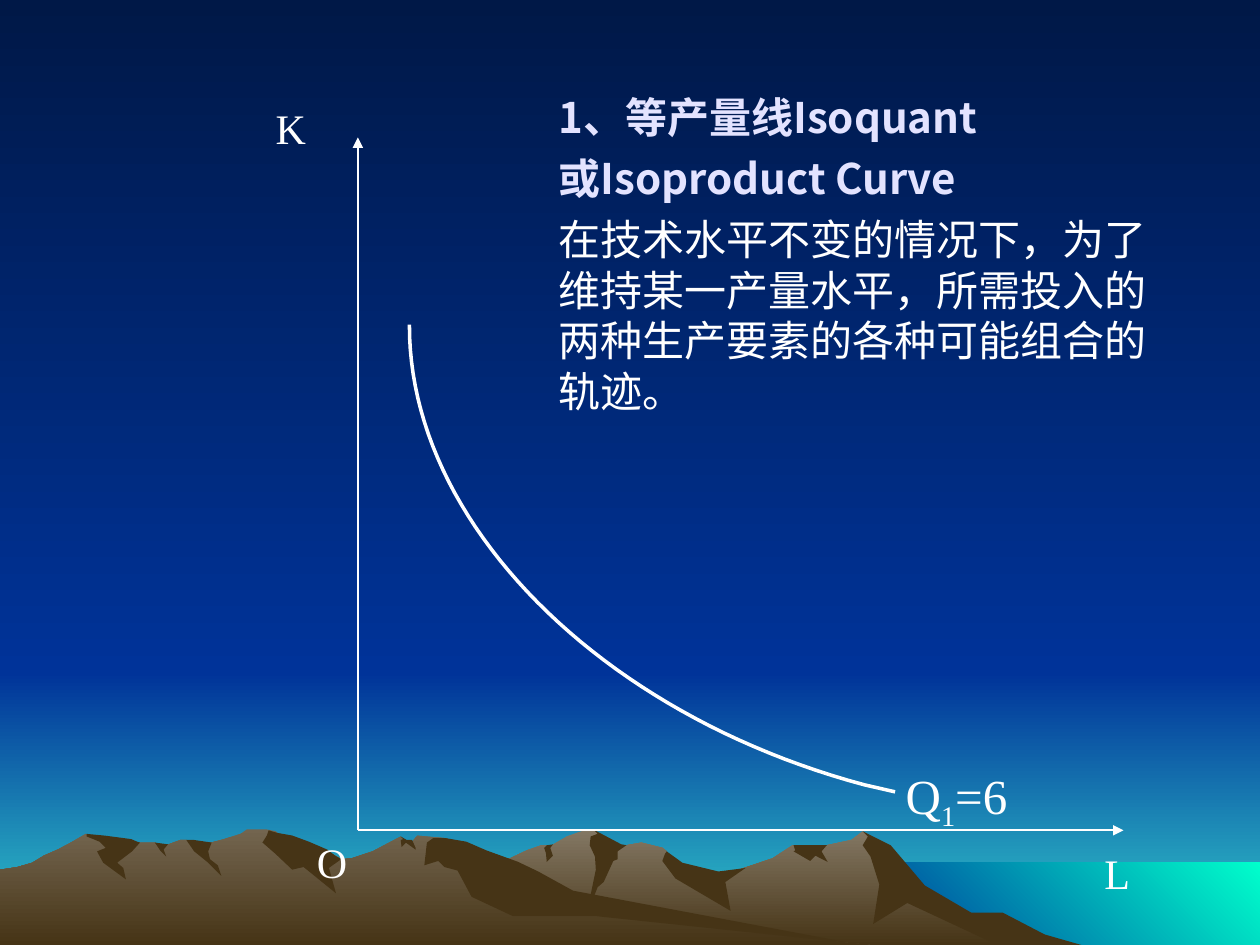
from lxml import etree
from pptx import Presentation
from pptx import util as u
from pptx.dml.color import RGBColor
from pptx.enum import shapes, text
from pptx.oxml import ns

COLORS = {
    "night": "001847", "blue": "003399", "horizon": "33CCCC", "sea": "00FFCC",
    "right_rock": "847864", "left_rock": "73654F", "shade": "463416",
    "white": "FFFFFF", "heading": "E3E3FF",
}
SERIF, SANS, BODY = "Times New Roman", "Noto Sans CJK SC", "Cambria"
WIDTH, HEIGHT, HORIZON = 720, 540, 384
DOWN, UP_RIGHT = 270, 45

# Mountain outlines, in points
RIGHT_RIDGE = [
    (577.5, 533), (560, 523.5), (550, 520.5), (520.5, 502.5), (505.5, 483), (493, 475),
    (486.5, 480), (472.5, 483), (453, 483), (441.5, 490.5), (407.5, 502), (386, 497),
    (381, 486.5), (378.5, 484.5), (366.5, 481.5), (358, 483), (350, 484.5), (341.5, 476),
    (339, 474), (335, 474), (324, 478), (315.5, 483), (309.5, 483), (301, 486),
    (291.5, 490.5), (283.5, 493), (255.5, 502.5), (235.5, 510.5), (199.5, 532),
    (186, 540), (591, 540)]
LEFT_RIDGE = [
    (497, 540), (480, 538.5), (311, 512.5), (255, 479), (238.5, 477.5), (235.5, 481),
    (232.5, 481), (229, 478), (213, 486.5), (201, 490.5), (195, 491), (187, 486.5),
    (170, 490.5), (160.5, 477.5), (157.5, 475), (152.5, 474), (141, 474), (137.5, 476.5),
    (128, 479.5), (115, 483), (106.5, 480), (103, 480), (95, 483), (92, 483),
    (88.5, 481.5), (80, 481.5), (67.5, 483), (49, 476.5), (40.5, 481.5), (33, 485.5),
    (25, 489), (18.5, 493), (10, 495.5), (0, 497), (0, 540)]
RIGHT_SHADES = [
    [(573, 521.5), (555, 521.5), (528.5, 506), (509, 483), (493, 475), (496, 478),
     (493, 483), (497.5, 489.5), (502.5, 505.5), (499, 528), (518.5, 516), (570, 540),
     (618, 540), (597, 534)],
    [(339, 474), (341.5, 476.5), (337.5, 478), (337, 483), (340, 489.5), (340.5, 497),
     (335, 523.5), (341.5, 507), (345, 504), (350.5, 492), (353, 491), (353, 486.5),
     (358, 483), (355, 482.5)],
    [(381, 486.5), (380, 488), (378.5, 492), (386, 502), (417.5, 520.5), (414.5, 504),
     (426, 496), (410.5, 498), (390, 493)],
    [(468, 483), (453.5, 483), (454.5, 486), (453.5, 486.5), (463, 492), (466, 489),
     (473, 492.5), (469.5, 486.5), (472.5, 483)],
    [(312, 487.5), (311, 484.5), (312.5, 483), (316, 482.5), (314.5, 484.5),
     (316, 489), (312.5, 492.5)],
]
LEFT_SHADES = [
    [(152.5, 477.5), (150, 481.5), (157.5, 488), (167, 497), (173.5, 495.5), (192, 510.5),
     (188, 496), (195, 491), (191.5, 489), (187, 485.5), (176.5, 481), (167, 477.5),
     (158.5, 476), (153.5, 474.5)],
    [(266.5, 481), (255, 479), (247.5, 479), (244, 481.5), (242.5, 494.5), (250.5, 492),
     (254, 495.5), (261.5, 497.5), (269.5, 512.5), (293, 523.5), (340, 523.5), (497, 540),
     (492, 540), (327.5, 509), (307.5, 498), (296, 492.5), (278, 486)],
    [(229, 480), (230.5, 479.5), (229, 478), (232.5, 480), (235.5, 480), (237.5, 484.5),
     (237.5, 485.5), (232, 481.5), (229.5, 484)],
    [(111, 480), (121, 481.5), (119, 486.5), (120, 491), (124.5, 494.5), (126.5, 500.5),
     (119, 493), (111, 486.5), (106.5, 480)],
    [(96, 482.5), (93.5, 485.5), (95, 489.5), (91.5, 486), (88.5, 481.5)],
    [(78.5, 481), (80, 481.5), (75.5, 486.5), (67, 493), (70.5, 496), (72, 502.5),
     (59, 493), (55.5, 486.5), (60.5, 484.5), (57, 481), (49.5, 478), (49.5, 476.5),
     (60, 477.5), (75, 479.5)],
]


def rgb(name):
    return RGBColor.from_string(COLORS[name])


def rectangle(left, top, right, bottom):
    return [(left, top), (right, top), (right, bottom), (left, bottom)]


def bezier(a, b, c, d, steps=48):
    """Points along a cubic curve from a to d."""
    points = []
    for i in range(steps + 1):
        t = i / steps
        weights = ((1 - t) ** 3, 3 * t * (1 - t) ** 2, 3 * t * t * (1 - t), t ** 3)
        points.append(tuple(sum(w * p[axis] for w, p in zip(weights, (a, b, c, d)))
                            for axis in (0, 1)))
    return points


class Painter:
    def __init__(self, page):
        self.page = page

    def paint(self, fill, colors, angle=DOWN):
        if len(colors) == 1:
            fill.solid()
            fill.fore_color.rgb = rgb(colors[0])
            return
        fill.gradient()
        fill.gradient_angle = angle
        for stop, name in zip(fill.gradient_stops, colors):
            stop.color.rgb = rgb(name)

    def outline(self, points, closed):
        points = [(u.Pt(x), u.Pt(y)) for x, y in points]
        builder = self.page.shapes.build_freeform(*points[0])
        builder.add_line_segments(points[1:], close=closed)
        shape = builder.convert_to_shape()
        shape.shadow.inherit = False
        return shape

    def area(self, points, *colors, angle=DOWN):
        shape = self.outline(points, True)
        self.paint(shape.fill, colors, angle)
        shape.line.fill.background()

    def curve(self, points, width):
        shape = self.outline(points, False)
        shape.fill.background()
        shape.line.color.rgb = rgb("white")
        shape.line.width = u.Pt(width)

    def arrow(self, start, end):
        line = self.page.shapes.add_connector(
            shapes.MSO_CONNECTOR.STRAIGHT, *(u.Pt(v) for v in start + end))
        line.line.color.rgb = rgb("white")
        line.line.width = u.Pt(1)
        etree.SubElement(line.line._get_or_add_ln(), ns.qn("a:tailEnd"), type="triangle")
        etree.SubElement(line._element.spPr, ns.qn("a:effectLst"))

    def box(self, left, top, width, height, content):
        box = self.page.shapes.add_textbox(*(u.Pt(v) for v in (left, top, width, height)))
        box.text_frame.word_wrap = True
        box.text_frame.text = content
        return box.text_frame

    def style(self, span, size, font, color, bold=False):
        span.font.size, span.font.name, span.font.bold = u.Pt(size), font, bold
        span.font.color.rgb = rgb(color)
        east_asian = etree.Element(ns.qn("a:ea"), typeface=SANS)
        span.font._element.find(ns.qn("a:latin")).addnext(east_asian)

    def label(self, left, top, width, height, *parts, size=24):
        para = self.box(left, top, width, height, "").paragraphs[0]
        for part in parts:
            span = para.add_run()
            span.text = part
            self.style(span, size, SERIF, "white")
        return para


def main():
    deck = Presentation()
    deck.slide_width, deck.slide_height = u.Pt(WIDTH), u.Pt(HEIGHT)
    page = deck.slides.add_slide(deck.slide_layouts[6])
    painter = Painter(page)

    # Sky and sea
    painter.paint(page.background.fill, ("night", "blue"))
    painter.area(rectangle(0, HORIZON, WIDTH, HEIGHT), "blue", "horizon")
    painter.area(rectangle(0, 0, WIDTH, HORIZON), "night", "blue")
    painter.area(rectangle(492, 493, WIDTH, HEIGHT), "blue", "sea", angle=UP_RIGHT)

    # Mountains
    for ridge, rock, shades in ((RIGHT_RIDGE, "right_rock", RIGHT_SHADES),
                                (LEFT_RIDGE, "left_rock", LEFT_SHADES)):
        painter.area(ridge, rock, "shade")
        for shade in shades:
            painter.area(shade, "shade")

    # Axes and their labels
    origin = (204.5, 474.5)
    painter.arrow(origin, (204.5, 78.5))
    painter.arrow(origin, (642, 474.5))
    painter.label(150.5, 55, 36, 36, "K")
    painter.label(624, 480.5, 72, 36, "L")
    painter.label(174, 474.5, 60, 36, "O")

    # Isoquant
    painter.curve(bezier((234, 185.5), (233.5, 298), (342.5, 408), (494, 448.5))
                  + [(511.5, 452.5)], 2)
    quantity = painter.label(510.5, 434, 78, 45, "Q", "1", "=6", size=28)
    quantity.runs[1].font._element.set("baseline", "-25000")

    # Definition
    frame = painter.box(312, 49, 372, 192, "\n".join((
        "1、等产量线Isoquant",
        "或Isoproduct Curve",
        "在技术水平不变的情况下，为了维持某一产量水平，所需投入的两种生产要素的各种可能组合的轨迹。")))
    for i, para in enumerate(frame.paragraphs):
        heading = i < 2
        para.alignment = text.PP_ALIGN.JUSTIFY if heading else text.PP_ALIGN.LEFT
        para.line_spacing = u.Pt(28.8)
        para.space_before = u.Pt(6 if i else 0)
        painter.style(para.runs[0], 24, SANS if heading else BODY,
                      "heading" if heading else "white", heading)

    deck.save("out.pptx")


if __name__ == "__main__":
    main()
